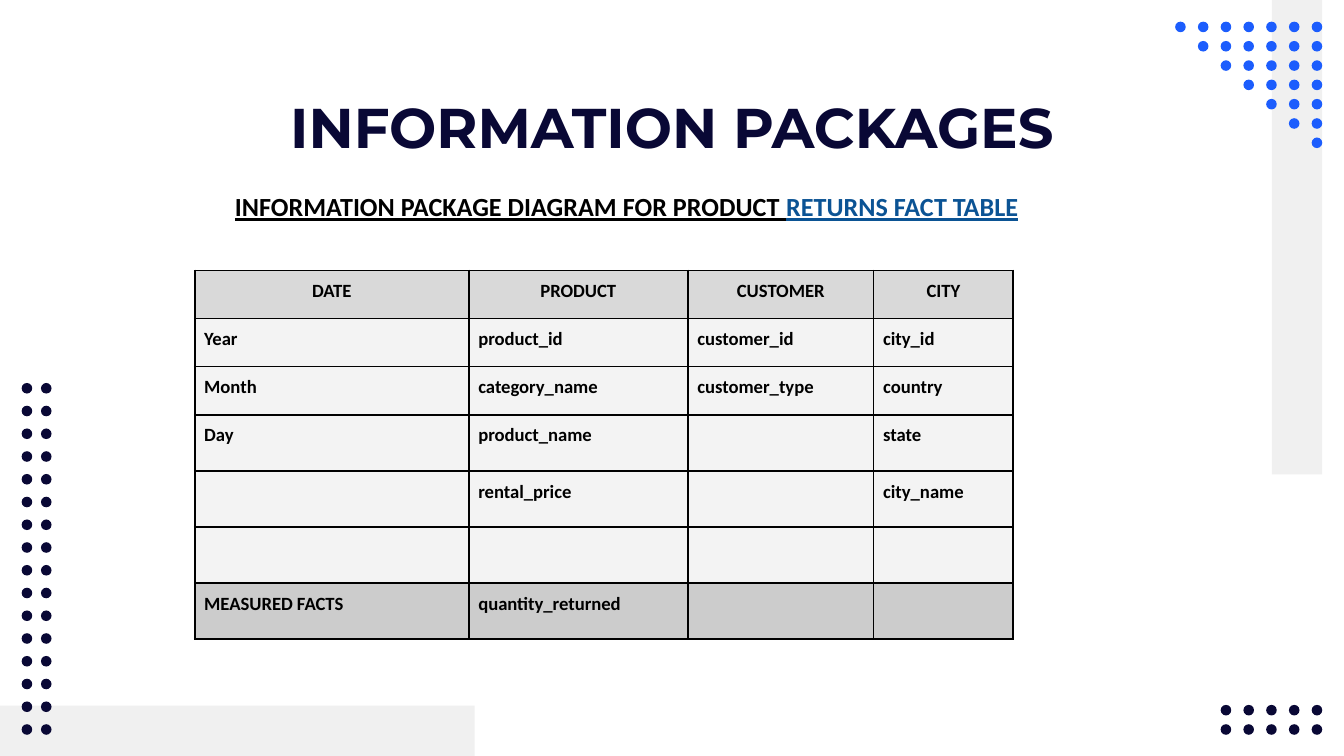
"""Build the information package slide for the product returns fact table."""
from lxml import etree
from pptx import Presentation
from pptx.dml.color import RGBColor
from pptx.enum.shapes import MSO_SHAPE
from pptx.enum.text import MSO_ANCHOR, PP_ALIGN
from pptx.oxml.ns import qn
from pptx.util import Cm, Pt

RECTANGLE, OVAL = MSO_SHAPE.RECTANGLE, MSO_SHAPE.OVAL
TOP, MIDDLE = MSO_ANCHOR.TOP, MSO_ANCHOR.MIDDLE
LEFT, CENTER = PP_ALIGN.LEFT, PP_ALIGN.CENTER

BLACK = RGBColor(0x00, 0x00, 0x00)
NAVY = RGBColor(0x09, 0x08, 0x35)
BLUE = RGBColor(0x1C, 0x5D, 0xFD)
LINK_BLUE = RGBColor(0x0B, 0x53, 0x94)
BAR_GRAY = RGBColor(0xF0, 0xF0, 0xF0)
HEADER_GRAY = RGBColor(0xD9, 0xD9, 0xD9)
BODY_GRAY = RGBColor(0xF3, 0xF3, 0xF3)
FACTS_GRAY = RGBColor(0xCC, 0xCC, 0xCC)

TITLE = "INFORMATION PACKAGES"
SUBTITLE = [
    ("INFORMATION PACKAGE DIAGRAM FOR PRODUCT ", BLACK),
    ("RETURNS FACT TABLE", LINK_BLUE),
]
ROWS = [
    ("DATE", "PRODUCT", "CUSTOMER", "CITY"),
    ("Year", "product_id", "customer_id", "city_id"),
    ("Month", "category_name", "customer_type", "country"),
    ("Day", "product_name", "", "state"),
    ("", "rental_price", "", "city_name"),
    ("", "", "", ""),
    ("MEASURED FACTS", "quantity_returned", "", ""),
]
COLUMN_WIDTHS = [5.18, 4.14, 3.51, 2.64]
ROW_HEIGHTS = [0.91] * 3 + [1.06] * 4
ROW_FILLS = [HEADER_GRAY] + [BODY_GRAY] * 5 + [FACTS_GRAY]

BARS = [(0, 13.34, 8.97, 0.95), (24.04, 0, 0.95, 8.97)]
DOT = 0.2
WIDE_GAP, NARROW_GAP = 0.43, 0.365
RIGHT_DOT, BOTTOM_DOT = 24.79, 13.69
MARGIN, CELL_MARGIN = 0.25, 0.18


def add_filled(page, kind, left, top, width, height, color):
    shape = page.shapes.add_shape(kind, Cm(left), Cm(top), Cm(width), Cm(height))
    shape.shadow.inherit = False
    shape.fill.solid()
    shape.fill.fore_color.rgb = color
    shape.line.fill.background()


def add_dots(page):
    triangle = [
        (RIGHT_DOT - column * WIDE_GAP, 0.41 + row * NARROW_GAP, BLUE)
        for row in range(7) for column in range(7 - row)
    ]
    left_strip = [
        (0.41 + column * NARROW_GAP, BOTTOM_DOT - row * WIDE_GAP, NAVY)
        for column in range(2) for row in range(16)
    ]
    corner = [
        (RIGHT_DOT - column * WIDE_GAP, BOTTOM_DOT - row * NARROW_GAP, NAVY)
        for row in range(2) for column in range(5)
    ]
    for left, top, color in triangle + left_strip + corner:
        add_filled(page, OVAL, left, top, DOT, DOT, color)


def write_text(frame, spans, font="Calibri", size=10, align=LEFT, underline=False):
    para = frame.paragraphs[0]
    para.alignment = align
    for text, color in spans:
        span = para.add_run()
        span.text = text
        span.font.name = font
        span.font.size = Pt(size)
        span.font.bold = True
        span.font.underline = underline
        span.font.color.rgb = color


def add_text(page, spans, left, top, width, height, anchor=TOP, indent=0, **style):
    box = page.shapes.add_textbox(Cm(left), Cm(top), Cm(width), Cm(height))
    frame = box.text_frame
    frame.word_wrap = True
    frame.vertical_anchor = anchor
    frame.margin_left = Cm(MARGIN + indent)
    frame.margin_right = frame.margin_top = frame.margin_bottom = Cm(MARGIN)
    write_text(frame, spans, **style)


def add_borders(cell):
    properties = cell._tc.get_or_add_tcPr()
    for position, side in enumerate(("lnL", "lnR", "lnT", "lnB")):
        line = etree.Element(qn(f"a:{side}"), w=str(Pt(1)))
        fill = etree.SubElement(line, qn("a:solidFill"))
        etree.SubElement(fill, qn("a:srgbClr"), val=str(BLACK))
        properties.insert(position, line)


def add_package_table(page):
    table = page.shapes.add_table(
        len(ROWS), len(COLUMN_WIDTHS), Cm(3.68), Cm(5.11),
        Cm(sum(COLUMN_WIDTHS)), Cm(sum(ROW_HEIGHTS)),
    ).table
    for column, width in zip(table.columns, COLUMN_WIDTHS):
        column.width = Cm(width)
    for index, texts in enumerate(ROWS):
        table.rows[index].height = Cm(ROW_HEIGHTS[index])
        for cell, text in zip(table.rows[index].cells, texts):
            cell.fill.solid()
            cell.fill.fore_color.rgb = ROW_FILLS[index]
            add_borders(cell)
            if text:
                cell.margin_left = cell.margin_right = Cm(CELL_MARGIN)
                cell.margin_top = cell.margin_bottom = Cm(CELL_MARGIN)
                write_text(cell.text_frame, [(text, BLACK)],
                           align=LEFT if index else CENTER)


def main():
    deck = Presentation()
    deck.slide_width, deck.slide_height = Cm(25.4), Cm(14.29)
    page = deck.slides.add_slide(deck.slide_layouts[6])
    for bar in BARS:
        add_filled(page, RECTANGLE, *bar, BAR_GRAY)
    add_dots(page)
    add_text(page, [(TITLE, NAVY)], 2, 1.5, 21.4, 1.6,
             font="Montserrat", size=30, align=CENTER)
    add_package_table(page)
    add_text(page, SUBTITLE, 3.28, 3.1, 17.12, 1.6, anchor=MIDDLE,
             indent=0.91, size=14, underline=True)
    deck.save("out.pptx")


if __name__ == "__main__":
    main()
